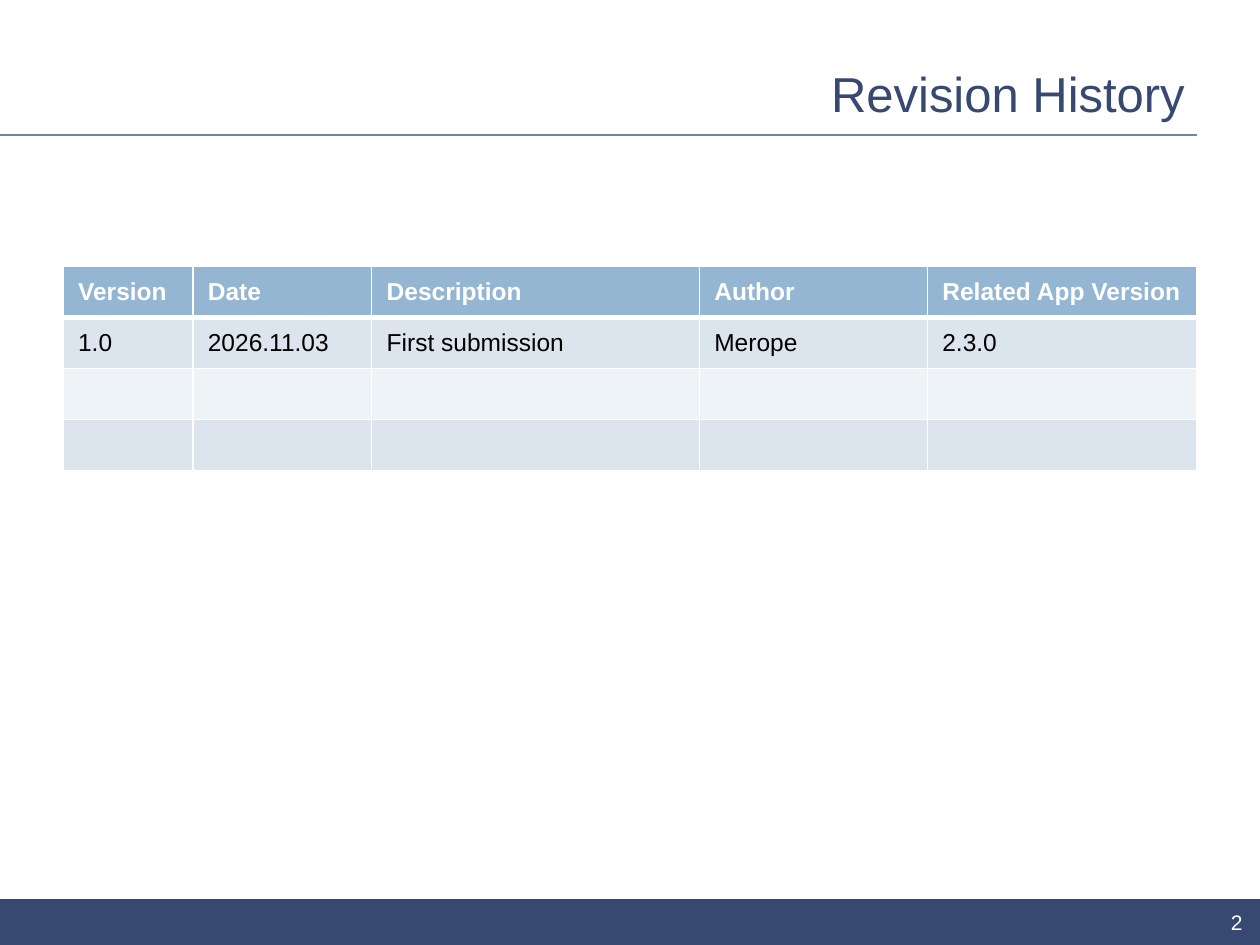
from lxml.etree import SubElement
from pptx import Presentation
from pptx.dml.color import RGBColor
from pptx.enum.shapes import MSO_CONNECTOR, MSO_SHAPE
from pptx.enum.text import MSO_ANCHOR, PP_ALIGN
from pptx.oxml.ns import qn
from pptx.util import Inches, Pt

COLORS = {
    "navy": "374971",
    "rule": "6D879C",
    "header": "94B6D2",
    "band_dark": "DCE5EE",
    "band_light": "EEF3F7",
    "white": "FFFFFF",
    "black": "000000",
}
COLUMNS, ROWS = 20, 15  # layout grid


def rgb(color):
    return RGBColor.from_string(COLORS[color])


class SlideBuilder:
    """Holds the style and the current slide; lengths are grid columns and rows."""

    font_name = "Arial"
    table_size = 14

    def __init__(self, prs):
        self.column = prs.slide_width / COLUMNS
        self.row = prs.slide_height / ROWS
        self.slide = prs.slides.add_slide(prs.slide_layouts[6])

    def x(self, columns):
        return round(columns * self.column)

    def y(self, rows):
        return round(rows * self.row)

    def box(self, left, top, width, height):
        return self.x(left), self.y(top), self.x(width), self.y(height)

    def add_text(self, paragraph, text, size, color, bold=False):
        run = paragraph.add_run()
        run.text = text
        run.font.name = self.font_name
        run.font.size = Pt(size)
        run.font.bold = bold
        run.font.color.rgb = rgb(color)

    def bar(self, *place, color):
        bar = self.slide.shapes.add_shape(MSO_SHAPE.RECTANGLE, *self.box(*place))
        bar.shadow.inherit = False
        bar.fill.solid()
        bar.fill.fore_color.rgb = rgb(color)
        bar.line.fill.background()

    def rule(self, start, end, top, color):
        rule = self.slide.shapes.add_connector(
            MSO_CONNECTOR.STRAIGHT, self.x(start), self.y(top), self.x(end), self.y(top))
        rule.line.color.rgb = rgb(color)
        rule.line.width = Pt(1)
        SubElement(rule._element.spPr, qn("a:effectLst"))

    def right_text(self, *place, text, size, color):
        frame = self.slide.shapes.add_textbox(*self.box(*place)).text_frame
        frame.word_wrap = True
        frame.vertical_anchor = MSO_ANCHOR.MIDDLE
        frame.paragraphs[0].alignment = PP_ALIGN.RIGHT
        self.add_text(frame.paragraphs[0], text, size, color)

    def border(self, cell, side, width):
        properties = cell._tc.get_or_add_tcPr()
        line = SubElement(properties, qn(f"a:ln{side}"), w=str(Pt(width)))
        SubElement(SubElement(line, qn("a:solidFill")), qn("a:srgbClr"),
                   val=COLORS["white"])

    def table(self, left, top, widths, row_height, records):
        place = self.box(left, top, sum(widths), row_height * len(records))
        table = self.slide.shapes.add_table(len(records), len(widths), *place).table
        for column, width in zip(table.columns, widths):
            column.width = self.x(width)
        for index, record in enumerate(records):
            table.rows[index].height = self.y(row_height)
            for cell, text in zip(table.rows[index].cells, record):
                self.table_cell(cell, text, index)

    def table_cell(self, cell, text, index):
        is_header = index == 0
        # Thick separator between the header and the first record
        thickness = {"L": 1, "R": 1, "T": 3 if index == 1 else 1, "B": 3 if is_header else 1}
        for side, width in thickness.items():
            self.border(cell, side, width)
        band = "band_dark" if index % 2 else "band_light"
        cell.fill.solid()
        cell.fill.fore_color.rgb = rgb("header" if is_header else band)
        cell.vertical_anchor = MSO_ANCHOR.MIDDLE
        cell.margin_left = Inches(0.12)
        if text:
            self.add_text(cell.text_frame.paragraphs[0], text, self.table_size,
                          "white" if is_header else "black", bold=is_header)


def main():
    prs = Presentation()
    prs.slide_width, prs.slide_height = Inches(10), Inches(7.5)
    page = SlideBuilder(prs)

    # Footer band and title rule
    page.bar(0, 14.27, COLUMNS, 0.73, color="navy")
    page.rule(0, 19, 2.14, color="rule")

    # Title and page number
    page.right_text(1, 0.8, 18, 1.34, text="Revision History", size=28, color="navy")
    page.right_text(15.42, 14.42, 4.5, 0.42, text="2", size=12, color="white")

    # Revision table, with two rows left to fill in
    blank_record = [""] * 5
    page.table(1, 4.23, [2.06, 2.84, 5.2, 3.62, 4.28], 0.81, [
        ["Version", "Date", "Description", "Author", "Related App Version"],
        ["1.0", "2026.11.03", "First submission", "Merope", "2.3.0"],
        blank_record,
        blank_record,
    ])

    prs.save("out.pptx")


if __name__ == "__main__":
    main()
